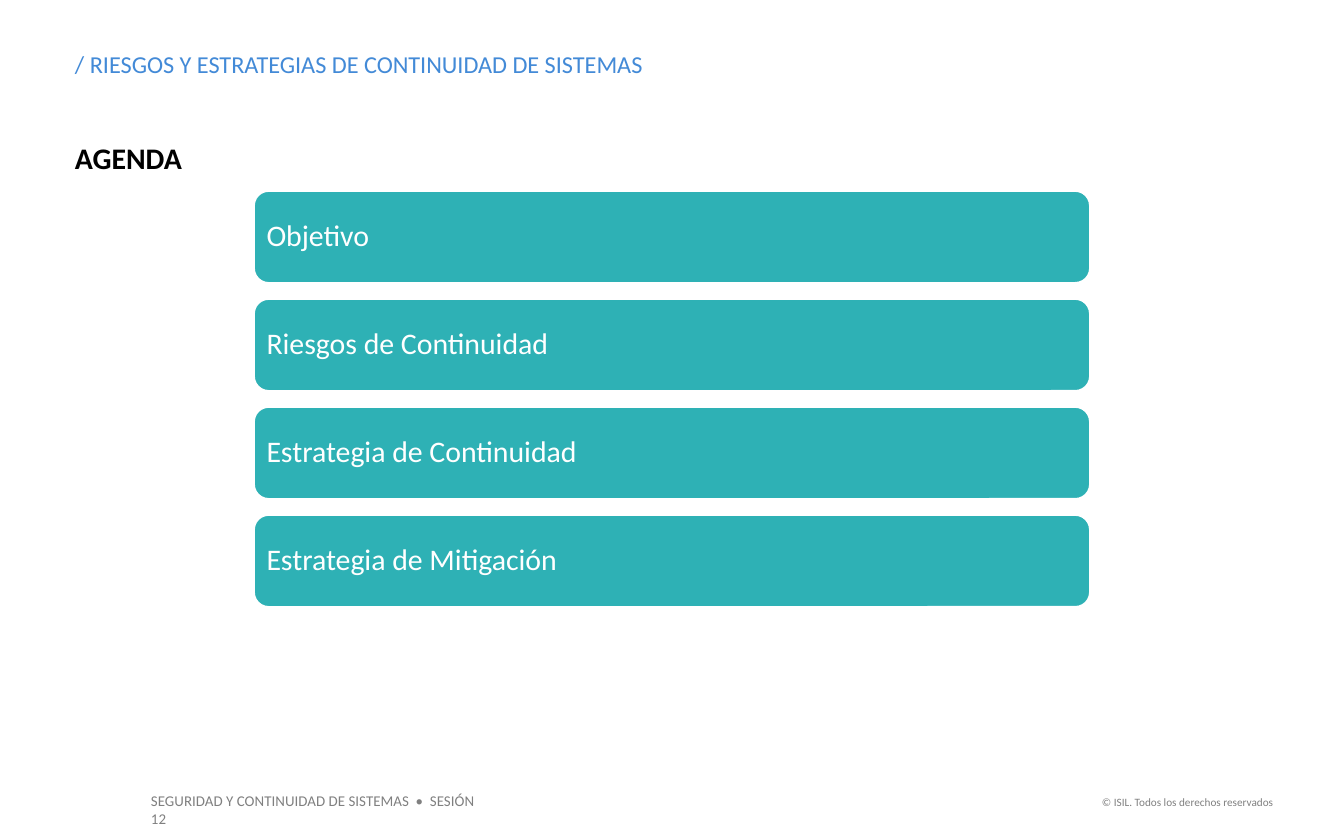
from pptx import Presentation
from pptx.dml.color import RGBColor
from pptx.enum.shapes import MSO_SHAPE
from pptx.enum.text import MSO_ANCHOR, PP_ALIGN
from pptx.util import Pt

ROUNDED = MSO_SHAPE.ROUNDED_RECTANGLE
MIDDLE = MSO_ANCHOR.MIDDLE
LEFT, RIGHT = PP_ALIGN.LEFT, PP_ALIGN.RIGHT

WHITE = RGBColor(0xFF, 0xFF, 0xFF)
BLACK = RGBColor(0x00, 0x00, 0x00)
GRAY = RGBColor(0x80, 0x80, 0x80)
BLUE = RGBColor(0x43, 0x8A, 0xD7)
TEAL = RGBColor(0x2E, 0xB1, 0xB5)

FONT = "Calibri"
AGENDA = [
    "Objetivo",
    "Riesgos de Continuidad",
    "Estrategia de Continuidad",
    "Estrategia de Mitigación",
]
LABELS = [
    {"text": "SEGURIDAD Y CONTINUIDAD DE SISTEMAS  •  SESIÓN 12",
     "at": (138, 785, 367, 32), "size": 8, "color": GRAY, "insets": (13, 7)},
    {"text": "© ISIL. Todos los derechos reservados",
     "at": (1085, 789, 201, 27), "size": 6, "color": GRAY, "insets": (13, 7), "align": RIGHT},
    {"text": "/ RIESGOS Y ESTRATEGIAS DE CONTINUIDAD DE SISTEMAS",
     "at": (75, 49, 887, 30), "size": 13, "color": BLUE},
    {"text": "AGENDA",
     "at": (75, 140, 1200, 36), "size": 16, "color": BLACK, "bold": True},
]
CARD_LEFT, CARD_TOP, CARD_WIDTH, CARD_HEIGHT = 253, 190, 838, 94
CARD_PITCH = 108


def px(length):
    return round(length * 914400 / 134.4)


def write(shape, text, size, color, insets=(0, 0), align=LEFT, bold=False):
    frame = shape.text_frame
    frame.word_wrap = True
    frame.margin_left = frame.margin_right = px(insets[0])
    frame.margin_top = frame.margin_bottom = px(insets[1])
    para = frame.paragraphs[0]
    para.text = text
    para.alignment = align
    para.font.name = FONT
    para.font.size = Pt(size)
    para.font.bold = bold
    para.font.color.rgb = color
    return para


def add_label(page, at, **style):
    write(page.shapes.add_textbox(*map(px, at)), **style)


def add_card(page, top, text):
    at = (CARD_LEFT, top, CARD_WIDTH, CARD_HEIGHT)
    card = page.shapes.add_shape(ROUNDED, *map(px, at))
    card.shadow.inherit = False
    card.fill.solid()
    card.fill.fore_color.rgb = TEAL
    card.line.color.rgb = WHITE
    card.line.width = Pt(2)
    card.text_frame.vertical_anchor = MIDDLE
    para = write(card, text, 16, WHITE, insets=(9, 9))
    para.line_spacing = 0.9


def main():
    deck = Presentation()
    deck.slide_width, deck.slide_height = px(1344), px(840)
    page = deck.slides.add_slide(deck.slide_layouts[6])
    for label in LABELS:
        add_label(page, **label)
    for index, topic in enumerate(AGENDA):
        add_card(page, CARD_TOP + index * CARD_PITCH, topic)
    deck.save("out.pptx")


if __name__ == "__main__":
    main()
